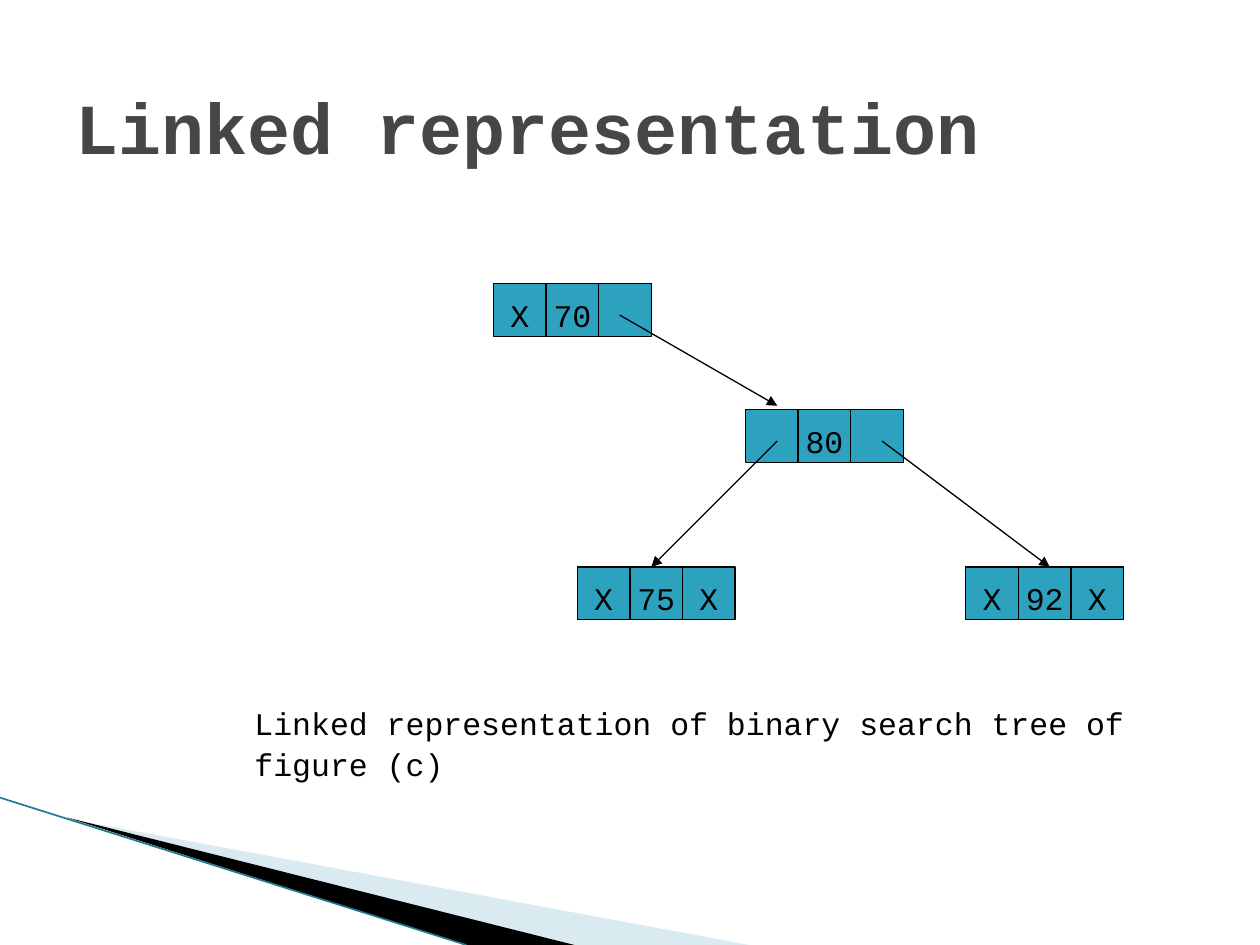
from dataclasses import dataclass

from lxml.etree import SubElement
from pptx import Presentation
from pptx.dml.color import RGBColor as Rgb
from pptx.enum.shapes import MSO_CONNECTOR as Link, MSO_SHAPE as Preset
from pptx.enum.text import MSO_ANCHOR as Anchor, PP_ALIGN as Align
from pptx.oxml.ns import qn
from pptx.util import Cm, Pt


@dataclass(frozen=True)
class Theme:
    font: str = "Courier New"
    ink: str = "000000"
    heading: str = "464646"
    node: str = "2DA2BF"
    wave: str = "A0CBDC"
    edge: str = "1F7A90"
    heading_size: float = 41
    body_size: float = 18
    outline: float = 0.75
    edge_width: float = 0.95


def write(shape, text, size, color, font, bold=False, align=Align.LEFT,
          anchor=Anchor.TOP, wrap=True, spacing=1.0):
    frame = shape.text_frame
    frame.word_wrap = wrap
    frame.vertical_anchor = anchor
    line = frame.paragraphs[0]
    line.alignment = align
    line.line_spacing = spacing
    run = line.add_run()
    run.text = text
    run.font.name = font
    run.font.size = Pt(size)
    run.font.bold = bold
    run.font.color.rgb = Rgb.from_string(color)
    return frame


class TreeSlide:
    CELL = 1.06

    def __init__(self, deck, theme):
        self.theme = theme
        self.shapes = deck.slides.add_slide(deck.slide_layouts[6]).shapes

    def label(self, text, left, top, width, height, **style):
        box = self.shapes.add_textbox(Cm(left), Cm(top), Cm(width), Cm(height))
        write(box, text, font=self.theme.font, **style)

    def wedge(self, corners, color, opacity=100):
        points = [(Cm(x), Cm(y)) for x, y in corners]
        outline = self.shapes.build_freeform(*points[0])
        outline.add_line_segments(points[1:], close=True)
        wedge = outline.convert_to_shape()
        wedge.shadow.inherit = False
        wedge.fill.solid()
        wedge.fill.fore_color.rgb = Rgb.from_string(color)
        wedge.line.fill.background()
        if opacity < 100:
            tint = wedge.fill._xPr.find(".//" + qn("a:srgbClr"))
            SubElement(tint, qn("a:alpha"), val=str(opacity * 1000))

    def line(self, start, end, color, width, arrow=False):
        line = self.shapes.add_connector(
            Link.STRAIGHT, *(Cm(value) for value in (*start, *end)))
        line.line.color.rgb = Rgb.from_string(color)
        line.line.width = Pt(width)
        if arrow:
            SubElement(line.line._get_or_add_ln(), qn("a:tailEnd"), type="triangle")
        SubElement(line._element.spPr, qn("a:effectLst"))

    def pointer(self, start, end):
        self.line(start, end, self.theme.ink, self.theme.outline, arrow=True)

    def node(self, left, top, fields):
        theme = self.theme
        for column, field in enumerate(fields):
            cell = self.shapes.add_shape(
                Preset.RECTANGLE, Cm(left + column * self.CELL), Cm(top),
                Cm(self.CELL), Cm(self.CELL))
            cell.shadow.inherit = False
            cell.fill.solid()
            cell.fill.fore_color.rgb = Rgb.from_string(theme.node)
            cell.line.color.rgb = Rgb.from_string(theme.ink)
            cell.line.width = Pt(theme.outline)
            if field:
                frame = write(cell, field, theme.body_size, theme.ink, theme.font,
                              align=Align.CENTER, anchor=Anchor.MIDDLE, wrap=False)
                frame.margin_top, frame.margin_bottom = Cm(0.2), Cm(0)


def main():
    theme = Theme()
    deck = Presentation()
    deck.slide_width, deck.slide_height = Cm(25.4), Cm(19.05)
    slide = TreeSlide(deck, theme)

    slide.wedge([(1.4, 16.51), (15.1, 19.05), (11.58, 19.05)], theme.wave, opacity=40)
    slide.wedge([(1.35, 16.48), (11.58, 19.05), (9.4, 19.05)], theme.ink)
    slide.line((0, 16.08), (9.4, 19.05), theme.edge, theme.edge_width)

    slide.label("Linked representation", 1.27, 0.95, 22.86, 3.18,
                size=theme.heading_size, color=theme.heading, bold=True,
                anchor=Anchor.MIDDLE)

    nodes = [
        (9.95, 5.72, ("X", "70", "")),
        (15.03, 8.26, ("", "80", "")),
        (11.64, 11.43, ("X", "75", "X")),
        (19.47, 11.43, ("X", "92", "X")),
    ]
    for left, top, fields in nodes:
        slide.node(left, top, fields)

    pointers = [
        ((12.49, 6.35), (15.67, 8.18)),
        ((15.67, 8.89), (13.13, 11.43)),
        ((17.78, 8.89), (21.16, 11.43)),
    ]
    for start, end in pointers:
        slide.pointer(start, end)

    slide.label("Linked representation of binary search tree of figure (c)",
                4.88, 14.02, 18.21, 1.02, size=theme.body_size, color=theme.ink,
                spacing=1.07)

    deck.save("out.pptx")


if __name__ == "__main__":
    main()
